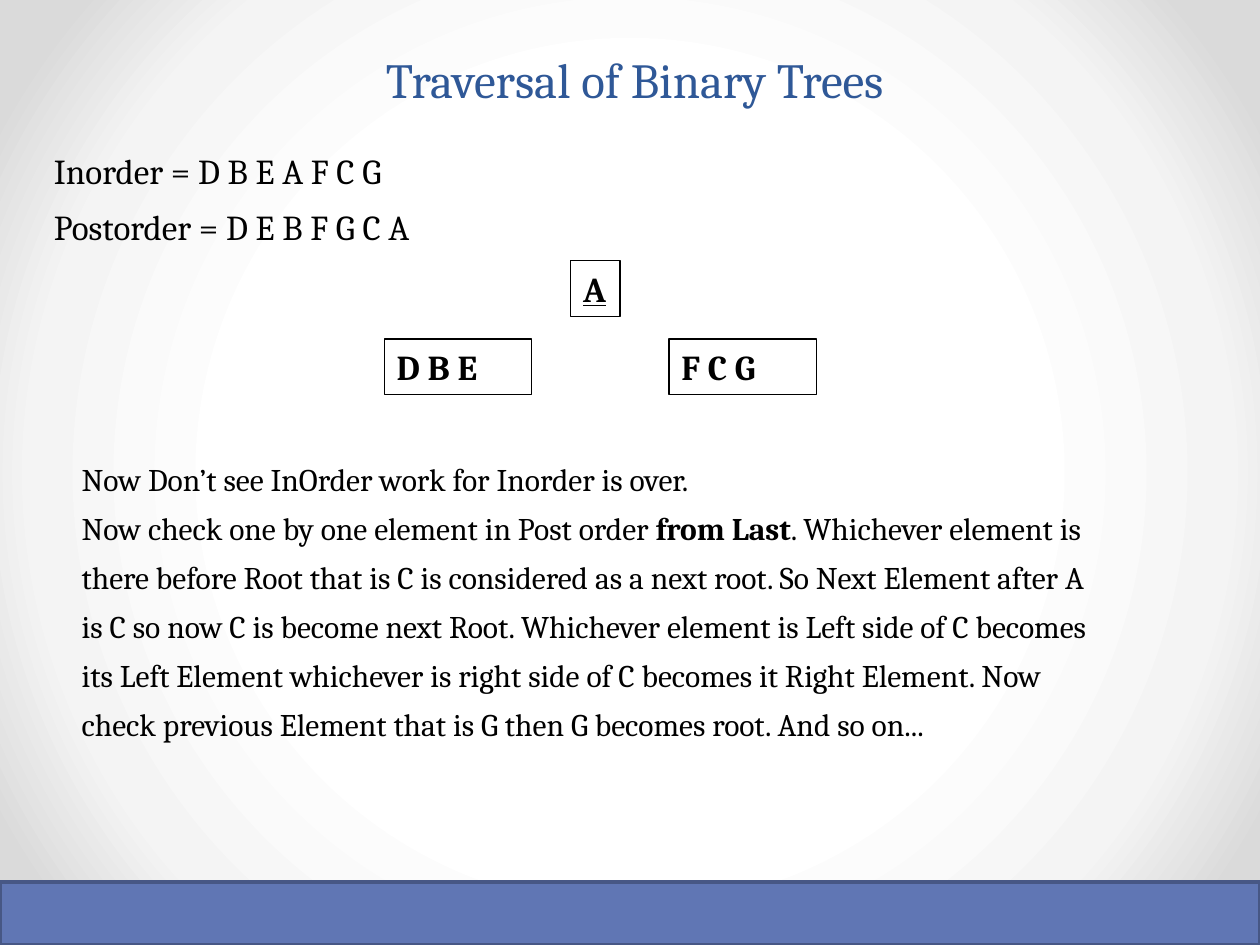
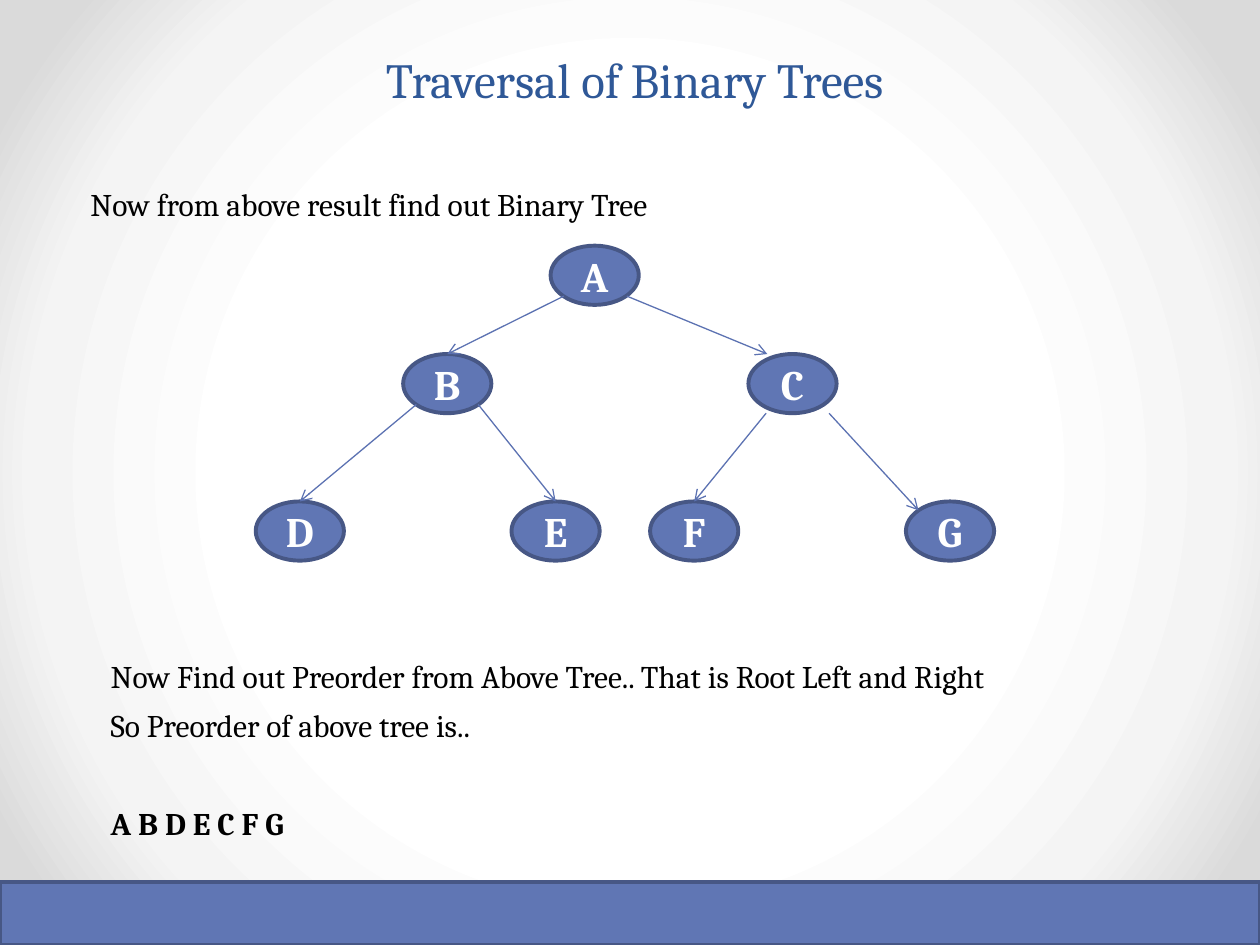
"""Build two slides that rebuild a binary tree from its traversal orders."""
from dataclasses import dataclass

from pptx import Presentation
from pptx.dml.color import RGBColor
from pptx.enum.shapes import MSO_CONNECTOR as Connector, MSO_SHAPE as Shape
from pptx.enum.text import MSO_ANCHOR as Anchor, MSO_AUTO_SIZE as AutoSize, PP_ALIGN as Align
from pptx.oxml import parse_xml
from pptx.oxml.ns import nsdecls
from pptx.util import Inches, Pt


@dataclass(frozen=True)
class Theme:
    font: str = "Cambria"
    title: str = "2F5897"
    ink: str = "000000"
    light: str = "FFFFFF"
    fill: str = "6076B4"
    outline: str = "475785"
    arrow: str = "5C72B2"
    title_size: int = 28
    node_size: int = 24
    order_size: int = 20
    text_size: int = 18
    leading: int = 28
    thick: float = 2.25
    thin: float = 0.75


theme = Theme()
presentation = Presentation()
presentation.slide_width, presentation.slide_height = Inches(10), Inches(7.5)
COLUMN = presentation.slide_width // 100
ROW = presentation.slide_height // 75


def write(shape, paragraphs, size, color=theme.ink, bold=False, underline=False, anchor=Anchor.TOP, **layout):
    """Fill a shape with paragraphs, each a list of runs; every second run swaps its weight."""
    frame = shape.text_frame
    frame.word_wrap, frame.auto_size, frame.vertical_anchor = True, AutoSize.NONE, anchor
    for index, runs in enumerate(paragraphs):
        paragraph = frame.add_paragraph() if index else frame.paragraphs[0]
        for name, value in layout.items():
            setattr(paragraph, name, value)
        for position, text in enumerate(runs):
            run = paragraph.add_run()
            run.text = text
            style = {"name": theme.font, "size": Pt(size), "bold": bold ^ (position % 2 == 1), "underline": underline}
            for name, value in style.items():
                setattr(run.font, name, value)
            run.font.color.rgb = RGBColor.from_string(color)
    return frame


def add_box(slide, kind, left, top, width, height, fill=theme.fill, outline=theme.outline, weight=theme.thick):
    """Add a preset shape measured in grid columns and rows."""
    shape = slide.shapes.add_shape(kind, int(left * COLUMN), int(top * ROW), int(width * COLUMN), int(height * ROW))
    shape.shadow.inherit = False
    if fill:
        shape.fill.solid()
        shape.fill.fore_color.rgb = RGBColor.from_string(fill)
    else:
        shape.fill.background()
    shape.line.color.rgb = RGBColor.from_string(outline)
    shape.line.width = Pt(weight)
    return shape


master = presentation.slide_master
master.background.fill.solid()
background = master.element.cSld.bg.bgPr
stops = "".join(
    f'<a:gs pos="{share * 1000}"><a:srgbClr val="{color}"/></a:gs>'
    for share, color in [(50, "FFFFFF"), (76, "F4F4F4"), (92, "DADADA")]
)
background.replace(background[0], parse_xml(
    f'<a:gradFill {nsdecls("a")} rotWithShape="1"><a:gsLst>{stops}</a:gsLst><a:path path="circle">'
    '<a:fillToRect l="50000" t="50000" r="50000" b="50000"/></a:path></a:gradFill>'
))

slides = []
for number in range(2):
    slide = presentation.slides.add_slide(presentation.slide_layouts[5])
    title = slide.shapes.title
    title.left, title.top, title.width, title.height = int(5.8 * COLUMN), int(0.8 * ROW), 90 * COLUMN, int(7.5 * ROW)
    write(title, [["Traversal of Binary Trees "]], theme.title_size, theme.title,
          anchor=Anchor.MIDDLE, alignment=Align.CENTER, line_spacing=Pt(58))
    add_box(slide, Shape.RECTANGLE, 0, 70, 100, 5)
    slides.append(slide)
split_slide, tree_slide = slides

for slide, left, top, width, height, size, gap, paragraphs in [
    (split_slide, 3.3, 10.8, 91.7, 10, theme.order_size, 4,
     [["Inorder = D B E A F C G"], ["Postorder = D E B F G C A"]]),
    (split_slide, 5.5, 35.1, 83.6, 28.5, theme.text_size, 0,
     [["Now Don’t see InOrder work for Inorder is over."],
      ["Now check one by one element in Post order ", "from Last",
       ". Whichever element is there before Root that is C is considered as a next root. "
       "So Next Element after A is C so now C is become next Root. Whichever element is "
       "Left side of C becomes its Left Element whichever is right side of C becomes it "
       "Right Element. Now check previous Element that is G then G becomes root. And so on..."]]),
    (tree_slide, 6.2, 13.3, 83.6, 4.5, theme.text_size, 0, [["Now from above result find out Binary Tree"]]),
    (tree_slide, 7.8, 50.8, 89.8, 16.7, theme.text_size, 0,
     [["Now Find out Preorder from Above Tree.. That is Root Left and Right"],
      ["So Preorder of above tree is.."], ["", "A B D E C F G"]]),
]:
    box = slide.shapes.add_textbox(int(left * COLUMN), int(top * ROW), int(width * COLUMN), int(height * ROW))
    frame = write(box, paragraphs, size, line_spacing=Pt(theme.leading), space_before=Pt(gap))
preorder = frame.paragraphs[-1]
preorder.space_before = Pt(theme.leading)

for keys, left, top, width in [("A", 45.3, 20.7, 3.9), ("D B E", 30.5, 26.9, 11.7), ("F C G", 53.1, 26.9, 11.7)]:
    part = add_box(split_slide, Shape.RECTANGLE, left, top, width, 4.4, None, theme.ink, theme.thin)
    write(part, [[keys]], theme.order_size, bold=True, underline=keys == "A", alignment=Align.LEFT)

NODE_WIDTH, NODE_HEIGHT = 7, 4.7
centers = {}
for row, level in [(21.85, {"A": 47.2}), (30.45, {"B": 35.5, "C": 62.9}),
                   (42.15, {"D": 23.8, "E": 44.1, "F": 55.1, "G": 75.4})]:
    for key, column in level.items():
        centers[key] = column, row
        node = add_box(tree_slide, Shape.OVAL, column - NODE_WIDTH / 2, row - NODE_HEIGHT / 2, NODE_WIDTH, NODE_HEIGHT)
        write(node, [[key]], theme.node_size, theme.light, bold=True, anchor=Anchor.MIDDLE, alignment=Align.CENTER)

TOP = (0, -NODE_HEIGHT / 2)
for parent, child, leave, arrive in [
    ("A", "B", (-2.45, 1.65), TOP),
    ("A", "C", (2.55, 1.65), (-2, -NODE_HEIGHT / 2)),
    ("B", "E", (2.45, 1.65), TOP),
    ("B", "D", (-2.45, 1.65), TOP),
    ("C", "G", (2.9, 2.35), (-2.5, -1.65)),
    ("C", "F", (-2.1, 2.35), TOP),
]:
    ends = [
        int((center + offset) * unit)
        for key, shift in [(parent, leave), (child, arrive)]
        for center, offset, unit in zip(centers[key], shift, (COLUMN, ROW))
    ]
    arrow = tree_slide.shapes.add_connector(Connector.STRAIGHT, *ends)
    arrow.line.color.rgb = RGBColor.from_string(theme.arrow)
    arrow.line.width = Pt(theme.thin)
    arrow.line._get_or_add_ln().append(parse_xml(f'<a:tailEnd {nsdecls("a")} type="arrow"/>'))
    arrow._element.spPr.append(parse_xml(f'<a:effectLst {nsdecls("a")}/>'))

presentation.save("out.pptx")
